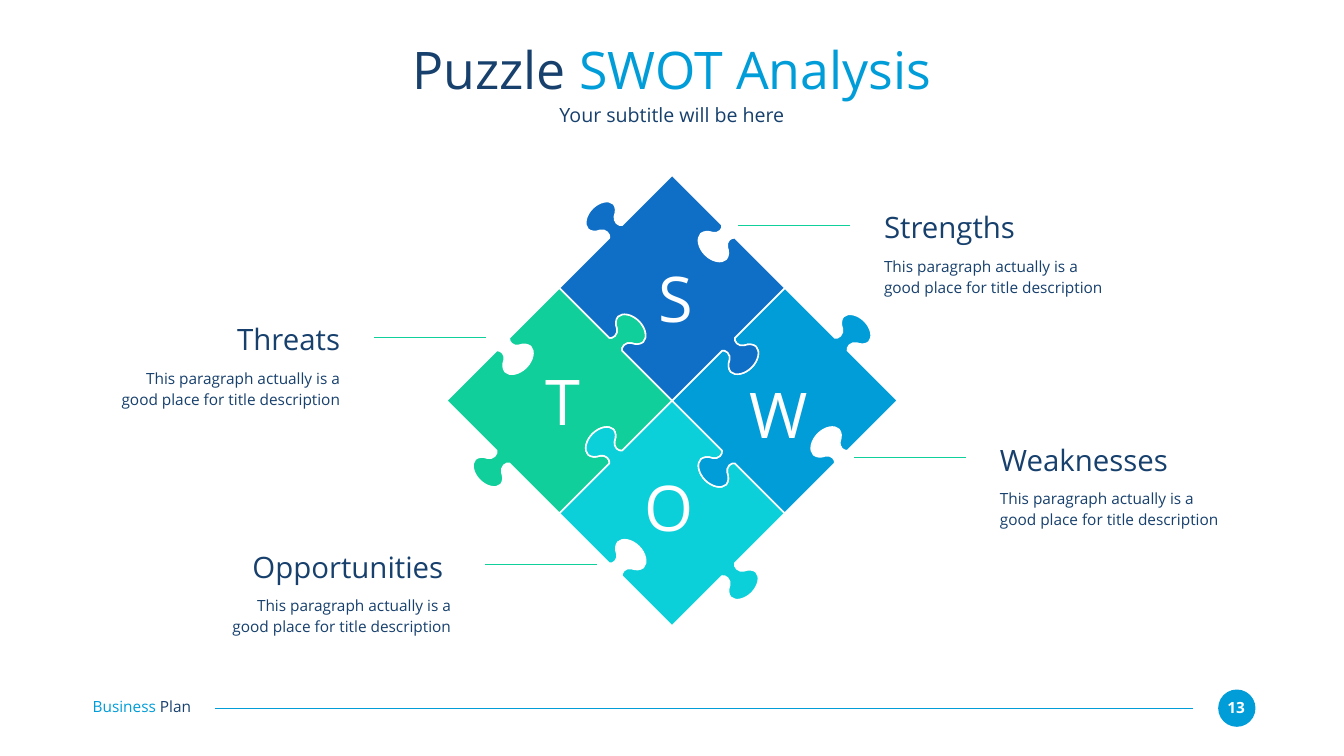
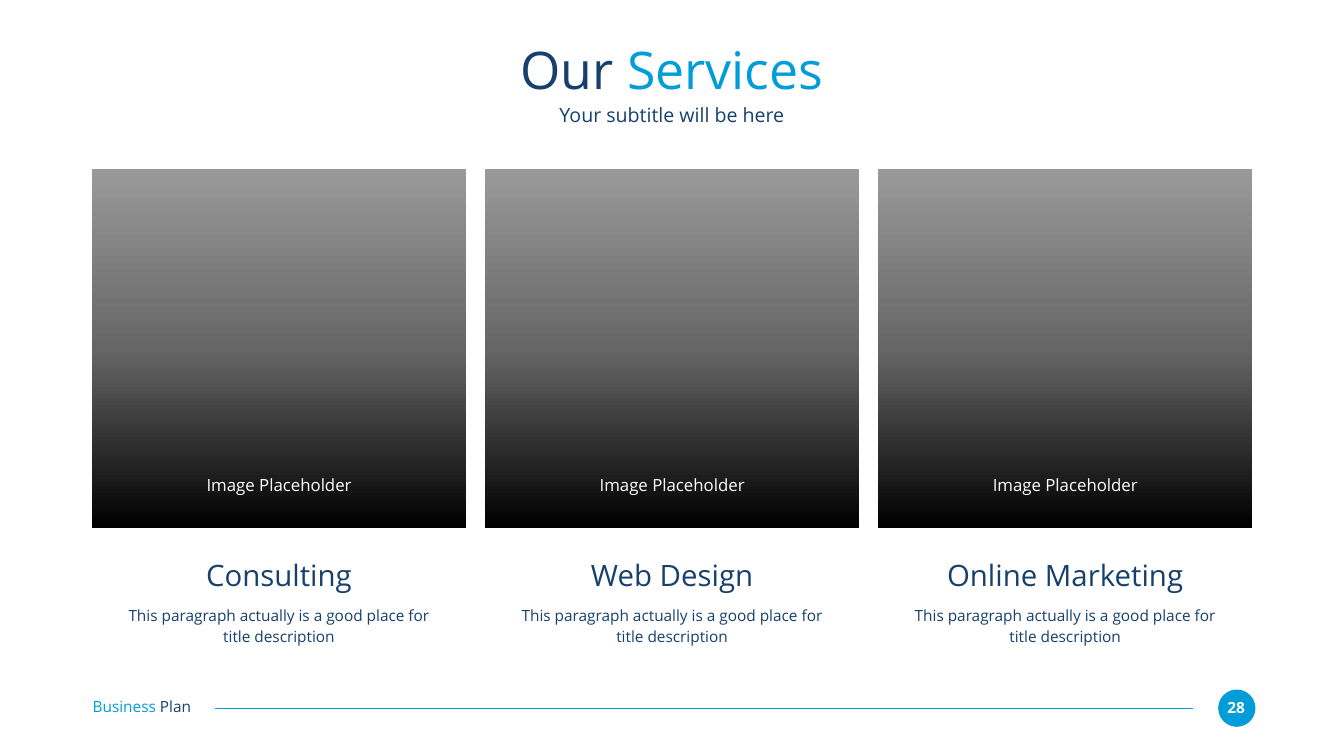
import copy

import pptx
import pptx.dml.color
import pptx.enum.shapes
import pptx.enum.text
import pptx.oxml.ns
import pptx.util
from lxml import etree

Cm = pptx.util.Cm
SHAPES = pptx.enum.shapes.MSO_SHAPE
ALIGN = pptx.enum.text.PP_ALIGN

# Shared look, lengths in centimetres
FONT = "Open Sans"
NAVY, SKY, BLUE = "17406D", "009DD9", "0F6FC6"
AQUA, GREEN, WHITE = "0BD0D9", "10CF9B", "FFFFFF"
SLIDE_SIZE = (67.73, 38.1)
TITLE_BOX = (4.65, 1.85, 58.42, 3.23)
SUBTITLE_BOX = (4.65, 5.16, 58.42, 1.24)
HEADING_HEIGHT, BODY_HEIGHT = 1.8, 2.34

# Content
SUBTITLE = "Your subtitle will be here"
DESCRIPTION = "This paragraph actually is a good place for title description"
SWOT_TITLE = [("Puzzle ", NAVY), ("SWOT Analysis", SKY)]
SERVICES_TITLE = [("Our ", NAVY), ("Services", SKY)]
SERVICES = ["Consulting", "Web Design", "Online Marketing"]
CARD_GRADIENT = [(0, "000000"), (0.5, "666666"), (1, "999999")]

# Puzzle pieces: colour, column and row of the centre, whether the
# top-right and bottom-left edges carry the knobs
PUZZLE_CENTRE, PIECE_RADIUS = (33.87, 20.19), 5.68
PIECES = [
    (GREEN, -1, 0, True),
    (AQUA, 0, 1, False),
    (SKY, 1, 0, True),
    (BLUE, 0, -1, False),
]
# Left half of a knob as (along edge, outwards): start, then Bézier triples
KNOB_HALF = [
    (-0.32, 0),
    (-0.28, 0.03), (-0.22, 0.1), (-0.23, 0.19),
    (-0.23, 0.29), (-0.29, 0.38), (-0.36, 0.42),
    (-0.53, 0.5), (-0.62, 0.61), (-0.64, 0.75),
    (-0.64, 0.98), (-0.34, 1.17), (0, 1.17),
]
KNOB = KNOB_HALF + [(-along, out) for along, out in reversed(KNOB_HALF[:-1])]
LETTERS = [("W", 36.58, 18.9), ("S", 31.37, 13.06),
           ("T", 25.7, 18.26), ("O", 31.04, 23.62)]
# Callouts: heading, left, top, whether the text stands left of the puzzle
CALLOUTS = [
    ("Threats", 5.61, 16.18, True),
    ("Opportunities ", 11.2, 27.64, True),
    ("Strengths", 44.55, 10.54, False),
    ("Weaknesses", 50.39, 22.25, False),
]


def colour(value):
    return pptx.dml.color.RGBColor.from_string(value)


def write(shape, runs, size, align=ALIGN.CENTER, bold=False, spacing=None):
    """Fill a shape with one paragraph of (text, colour) runs."""
    frame = shape.text_frame
    frame.word_wrap = True
    frame.auto_size = pptx.enum.text.MSO_AUTO_SIZE.NONE
    frame.vertical_anchor = pptx.enum.text.MSO_ANCHOR.MIDDLE
    frame.margin_left = frame.margin_right = 0
    frame.margin_top = frame.margin_bottom = 0
    paragraph = frame.paragraphs[0]
    paragraph.alignment = align
    if spacing:
        paragraph.line_spacing = spacing
    for text, run_colour in runs:
        run = paragraph.add_run()
        run.text = text
        run.font.name = FONT
        run.font.size = pptx.util.Pt(size)
        run.font.bold = bold
        run.font.color.rgb = colour(run_colour)


def add_text(slide, box, runs, size, **style):
    shape = slide.shapes.add_textbox(*map(Cm, box))
    write(shape, runs, size, **style)


def add_heading_and_body(slide, heading, left, top, width, body_offset, align):
    add_text(slide, (left, top, width, HEADING_HEIGHT),
             [(heading, NAVY)], 42, align=align)
    add_text(slide, (left, top + body_offset, width, BODY_HEIGHT),
             [(DESCRIPTION, NAVY)], 22, align=align, spacing=1.15)


def add_rule(slide, left, right, y, line_colour):
    rule = slide.shapes.add_connector(
        pptx.enum.shapes.MSO_CONNECTOR.STRAIGHT,
        Cm(right), Cm(y), Cm(left), Cm(y))
    rule.line.color.rgb = colour(line_colour)
    rule.line.width = pptx.util.Pt(1.5)
    etree.SubElement(rule.element.spPr, pptx.oxml.ns.qn("a:effectLst"))


def add_slide(presentation, title_runs, number):
    """Start a slide with the shared title, subtitle and footer."""
    slide = presentation.slides.add_slide(presentation.slide_layouts[5])
    title = slide.shapes.title
    title.left, title.top, title.width, title.height = map(Cm, TITLE_BOX)
    write(title, title_runs, 74)
    add_text(slide, SUBTITLE_BOX, [(SUBTITLE, NAVY)], 28)

    # Footer
    badge = slide.shapes.add_shape(
        SHAPES.OVAL, Cm(61.39), Cm(34.75), Cm(1.88), Cm(1.88))
    badge.shadow.inherit = False
    badge.fill.solid()
    badge.fill.fore_color.rgb = colour(SKY)
    badge.line.fill.background()
    add_text(slide, (61.54, 35.18, 1.5, 0.94), [(number, WHITE)], 22, bold=True)
    add_rule(slide, 10.85, 60.12, 35.69, SKY)
    add_text(slide, (4.67, 35.15, 6.58, 0.94),
             [("Business ", SKY), ("Plan", NAVY)], 22, align=ALIGN.LEFT)
    return slide


def piece_points(x, y, knob_top_right):
    """List corners and knob points clockwise from the top corner."""
    points = []
    corners = [(0, -1), (1, 0), (0, 1), (-1, 0)]
    for index, (start_x, start_y) in enumerate(corners):
        end_x, end_y = corners[(index + 1) % 4]
        along_x, along_y = end_x - start_x, end_y - start_y
        middle_x = x + (start_x + end_x) / 2 * PIECE_RADIUS
        middle_y = y + (start_y + end_y) / 2 * PIECE_RADIUS
        # Knobs and sockets alternate
        side = 1 if (index % 2 == 0) == knob_top_right else -1
        points.append((x + start_x * PIECE_RADIUS, y + start_y * PIECE_RADIUS))
        points += [(middle_x + along * along_x + side * out * along_y,
                    middle_y + along * along_y - side * out * along_x)
                   for along, out in KNOB]
    return [(Cm(point_x), Cm(point_y)) for point_x, point_y in points]


def curve_knobs(piece):
    """Turn each three line segments of a knob into one Bézier curve."""
    segments = list(piece.element.xpath(".//a:path")[0])
    edge_length = len(KNOB) + 1
    for edge_start in range(0, 4 * edge_length, edge_length):
        for first in range(edge_start + 2, edge_start + edge_length, 3):
            curve = etree.Element(pptx.oxml.ns.qn("a:cubicBezTo"))
            segments[first].addprevious(curve)
            for segment in segments[first:first + 3]:
                curve.append(segment[0])
                segment.getparent().remove(segment)


def add_piece(slide, fill, column, row, knob_top_right):
    points = piece_points(PUZZLE_CENTRE[0] + column * PIECE_RADIUS,
                          PUZZLE_CENTRE[1] + row * PIECE_RADIUS, knob_top_right)
    builder = slide.shapes.build_freeform(*points[0])
    builder.add_line_segments(points[1:], close=True)
    piece = builder.convert_to_shape()
    curve_knobs(piece)
    piece.shadow.inherit = False
    piece.fill.solid()
    piece.fill.fore_color.rgb = colour(fill)
    piece.line.color.rgb = colour(WHITE)
    piece.line.width = pptx.util.Pt(2.25)


def add_callout(slide, heading, left, top, left_of_puzzle):
    width, gap, rule_length = 11.53, 1.72, 5.63
    align = ALIGN.RIGHT if left_of_puzzle else ALIGN.LEFT
    add_heading_and_body(slide, heading, left, top, width, 2.16, align)
    rule_left = left + width + gap if left_of_puzzle else left - gap - rule_length
    add_rule(slide, rule_left, rule_left + rule_length, top + 0.83, GREEN)


def add_service(slide, index, name):
    left = 4.62 + index * 19.81
    card = slide.shapes.add_shape(
        SHAPES.RECTANGLE, Cm(left), Cm(8.53), Cm(18.87), Cm(18.08))
    card.shadow.inherit = False
    card.line.fill.background()
    card.fill.gradient()
    card.fill.gradient_angle = 90
    # The default gradient has two stops; add the third
    stop_list = card.element.spPr.xpath(".//a:gsLst")[0]
    stop_list.append(copy.deepcopy(stop_list[0]))
    for stop, (position, value) in zip(card.fill.gradient_stops, CARD_GRADIENT):
        stop.position = position
        stop.color.rgb = colour(value)
    add_text(slide, (left + 3.22, 23.93, 12.45, 1.02),
             [("Image Placeholder", WHITE)], 24)
    add_heading_and_body(slide, name, left + 1.59, 28.07, 15.7, 2.23, ALIGN.CENTER)


def main():
    presentation = pptx.Presentation()
    presentation.slide_width, presentation.slide_height = map(Cm, SLIDE_SIZE)

    # SWOT puzzle
    slide = add_slide(presentation, SWOT_TITLE, "13")
    for piece in PIECES:
        add_piece(slide, *piece)
    for callout in CALLOUTS:
        add_callout(slide, *callout)
    for letter, left, top in LETTERS:
        add_text(slide, (left, top, 5.33, 3.84), [(letter, WHITE)], 90)

    # Services
    slide = add_slide(presentation, SERVICES_TITLE, "28")
    for index, name in enumerate(SERVICES):
        add_service(slide, index, name)

    presentation.save("out.pptx")


if __name__ == "__main__":
    main()
